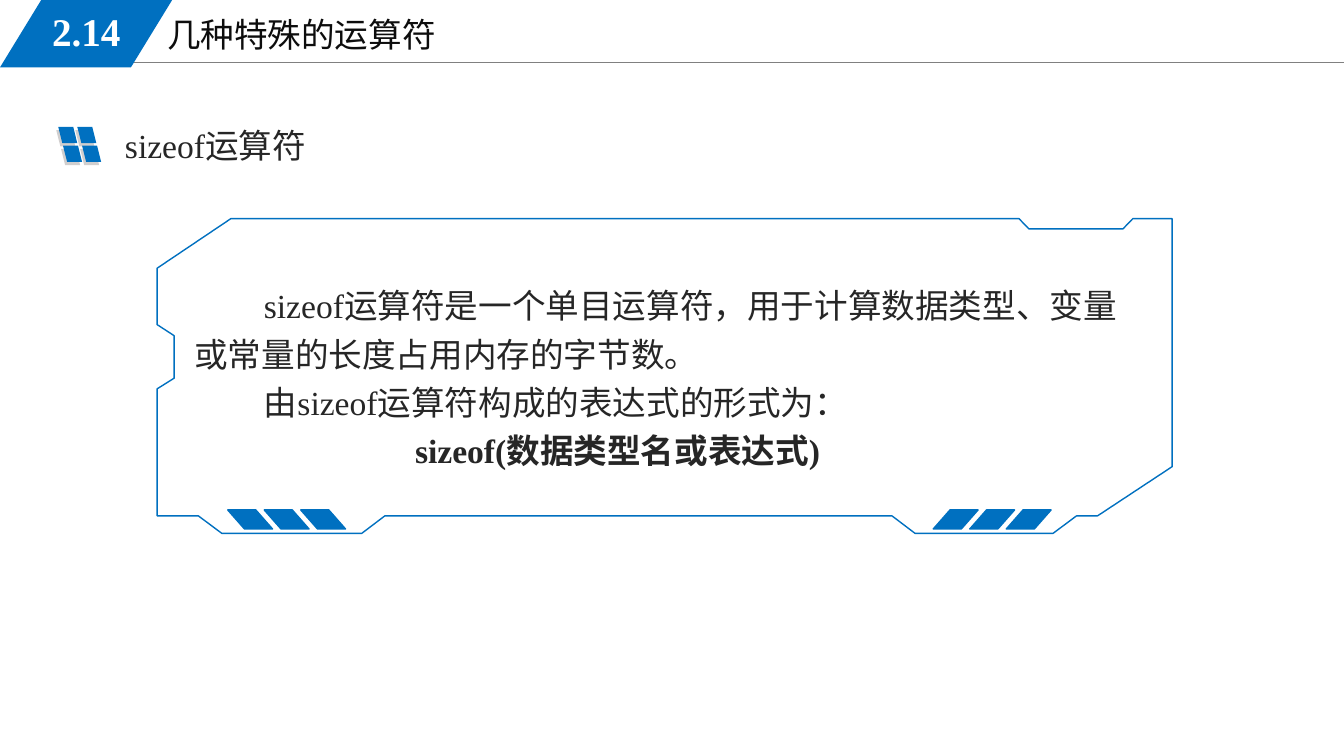
from pptx import Presentation
from pptx.dml.color import RGBColor
from pptx.enum.shapes import MSO_CONNECTOR, MSO_SHAPE
from pptx.enum.text import MSO_ANCHOR, PP_ALIGN
from pptx.oxml.ns import qn
from pptx.util import Cm, Pt
from lxml.etree import SubElement

COLORS = {"blue": "0070C0", "gray": "808080", "shade": "D0CECE",
          "title": "0D0D0D", "text": "262626", "white": "FFFFFF"}
FONT = "Times New Roman"

presentation = Presentation()
presentation.slide_width, presentation.slide_height = Cm(33.87), Cm(19.05)
slide = presentation.slides.add_slide(presentation.slide_layouts[6])


def add_parallelogram(box, color, slant=0.25, flipped=False, outlined=False):
    shape = slide.shapes.add_shape(MSO_SHAPE.PARALLELOGRAM, *map(Cm, box))
    shape.adjustments[0] = slant
    shape.shadow.inherit = False
    shape.fill.solid()
    shape.fill.fore_color.rgb = RGBColor.from_string(COLORS[color])
    if outlined:
        shape.line.color.rgb = RGBColor.from_string(COLORS[color])
        shape.line.width = Pt(1)
    else:
        shape.line.fill.background()
    if flipped:
        shape.element.spPr.find(qn("a:xfrm")).set("flipH", "1")


def add_text(box, lines, color, size=24):
    frame = slide.shapes.add_textbox(*map(Cm, box)).text_frame
    frame.word_wrap = True
    frame.text = "\n".join(lines)
    for paragraph in frame.paragraphs:
        paragraph.font.name = FONT
        paragraph.font.size = Pt(size)
        paragraph.font.color.rgb = RGBColor.from_string(COLORS[color])
    return frame


header_line = slide.shapes.add_connector(
    MSO_CONNECTOR.STRAIGHT, Cm(2.87), Cm(1.57), Cm(33.87), Cm(1.57))
header_line.line.color.rgb = RGBColor.from_string(COLORS["gray"])
header_line.line.width = Pt(0.75)
SubElement(header_line.element.spPr, qn("a:effectLst"))

add_text((3.96, 0.23, 14.4, 1.3), ["几种特殊的运算符"], "title")
add_parallelogram((0, 0, 4.34, 1.7), "blue", slant=0.612)
number = add_text((0.64, 0.05, 3.07, 1.47), ["2.14"], "white", size=28)
number.vertical_anchor = MSO_ANCHOR.MIDDLE
number.paragraphs[0].alignment = PP_ALIGN.CENTER
number.paragraphs[0].font.bold = True

body = add_text((4.65, 6.86, 24.56, 5.18), [
    "sizeof运算符是一个单目运算符，用于计算数据类型、变量或常量的长度占用内存的字节数。",
    "由sizeof运算符构成的表达式的形式为：",
    "sizeof(数据类型名或表达式)",
], "text")
for paragraph, indent in zip(body.paragraphs, (1.75, 1.75, 5.56)):
    paragraph.line_spacing = 1.2
    properties = paragraph._p.get_or_add_pPr()
    properties.set("marL", "0")
    properties.set("indent", str(Cm(indent)))
body.paragraphs[2].font.bold = True

for left, top, color in ((1.42, 3.28, "shade"), (1.47, 3.2, "blue")):
    for column in range(2):
        for row in range(2):
            tile = (left + column * 0.48 + row * 0.12, top + row * 0.47, 0.48, 0.41)
            add_parallelogram(tile, color, flipped=True)
add_text((2.9, 3.02, 5.97, 1.27), ["sizeof运算符"], "text")

frame_points = [
    (5.82, 5.51), (25.68, 5.51), (25.93, 5.77), (28.3, 5.77), (28.55, 5.51),
    (29.54, 5.51), (29.54, 11.76), (27.66, 13), (27.13, 13), (26.54, 13.44),
    (23.06, 13.44), (22.48, 13), (9.7, 13), (9.12, 13.44), (5.59, 13.44),
    (5, 13), (3.96, 13), (3.96, 9.8), (4.39, 9.53), (4.39, 8.46),
    (3.96, 8.18), (3.96, 6.76),
]
corners = [(Cm(x), Cm(y)) for x, y in frame_points]
builder = slide.shapes.build_freeform(*corners[0])
builder.add_line_segments(corners[1:], close=True)
border = builder.convert_to_shape()
border.shadow.inherit = False
border.fill.background()
border.line.color.rgb = RGBColor.from_string(COLORS["blue"])
border.line.width = Pt(1)

for left, flipped in ((23.52, False), (5.74, True)):
    for index in range(3):
        add_parallelogram((left + index * 0.92, 12.85, 1.13, 0.48), "blue",
                          slant=0.88, flipped=flipped, outlined=True)

presentation.save("out.pptx")
